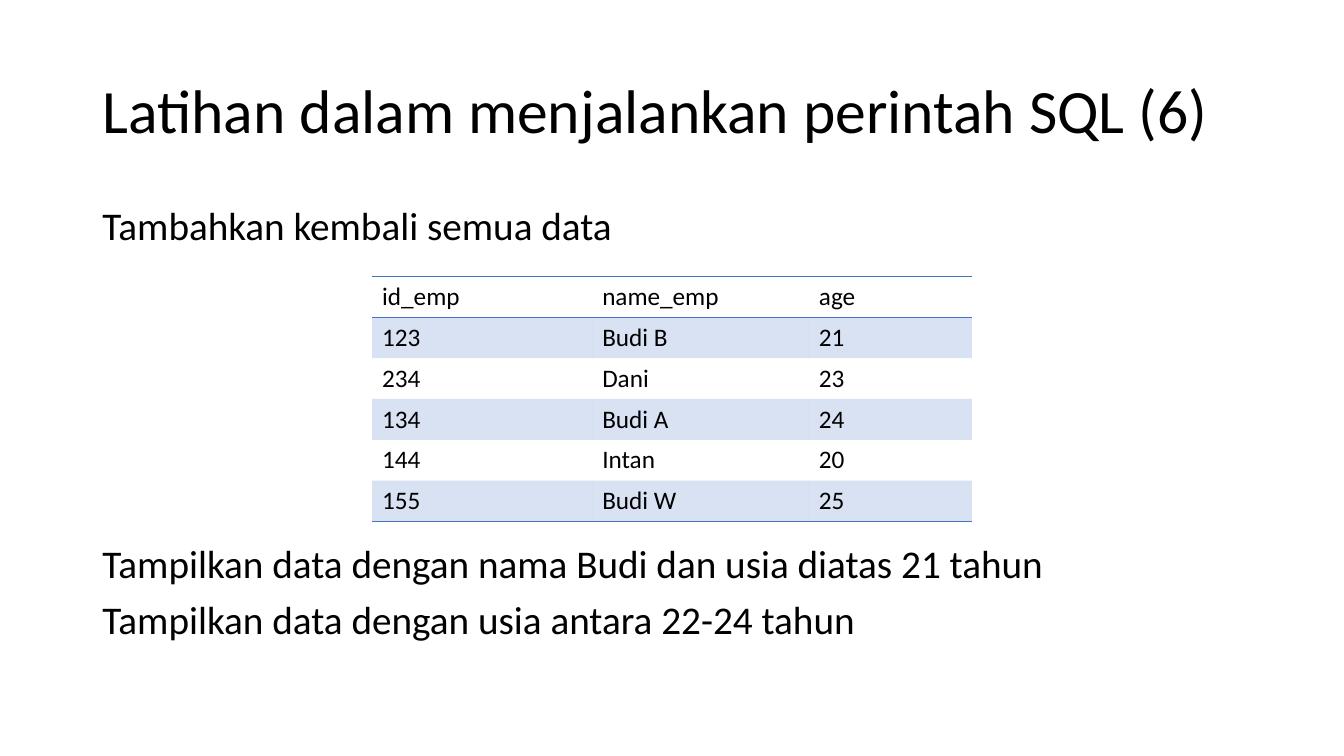
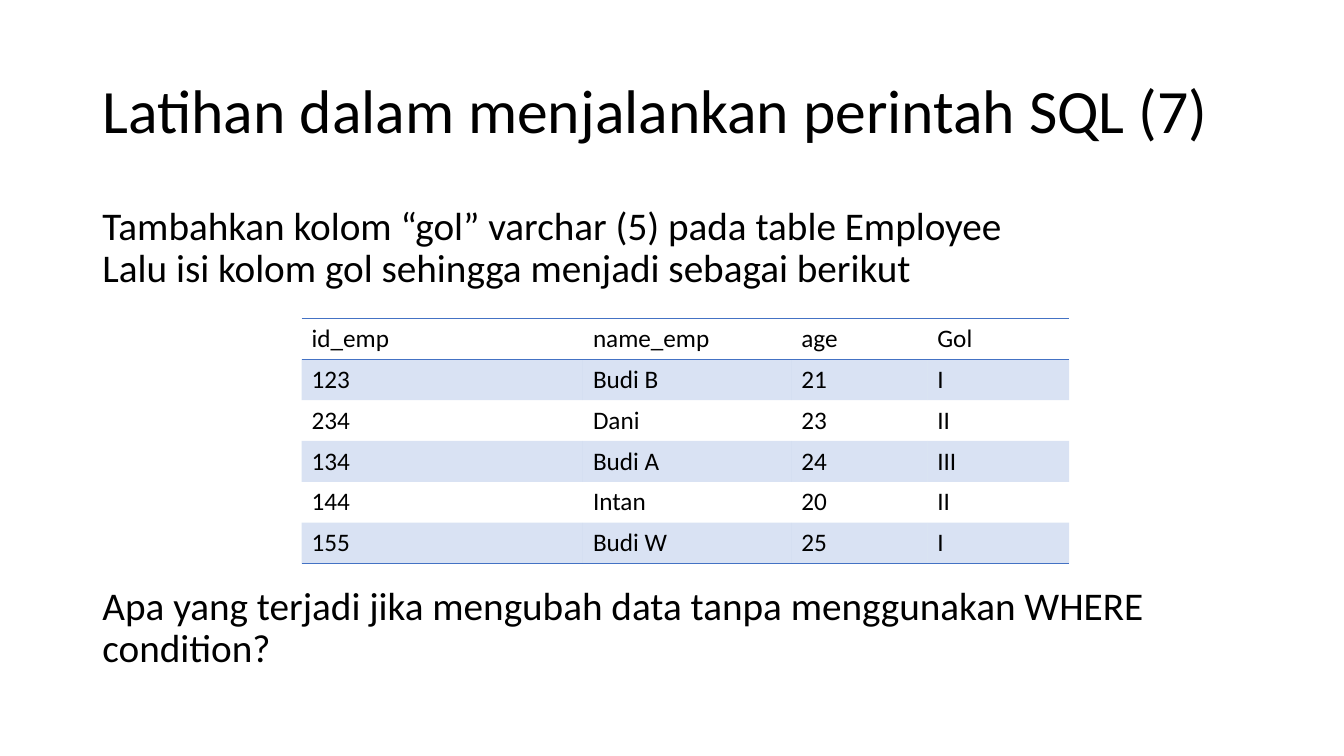
from lxml.etree import SubElement
from pptx import Presentation
from pptx.dml.color import RGBColor as Rgb
from pptx.enum.text import MSO_ANCHOR as Anchor, MSO_AUTO_SIZE as Fit, PP_ALIGN as Align
from pptx.oxml import parse_xml
from pptx.oxml.ns import nsdecls, qn
from pptx.util import Inches, Pt

INK = {"text": "000000", "accent": "4472C4"}
FONT = "Calibri"
COLS, ROWS = 160, 90  # slide grid, square units of 1/12 inch
PLAIN = "{2D5ABB26-0587-4C30-8999-92F81FD0307C}"  # table style without grid
GAP = 211  # points kept free for the table

STAFF = [
    ("id_emp", "name_emp", "age"),
    ("123", "Budi B", "21"),
    ("234", "Dani", "23"),
    ("134", "Budi A", "24"),
    ("144", "Intan", "20"),
    ("155", "Budi W", "25"),
]
GRADES = ("Gol", "I", "II", "III", "II", "I")


def unit(count):
    return Inches(count / 12)


def write(par, text, size=28, color="text", space=None, before=None):
    """Fill a paragraph; a vertical tab in the text breaks the line."""
    par.text = text
    par.alignment = Align.LEFT
    if space:
        par.line_spacing = space
    if before is not None:
        par.space_before = Pt(before)
    for run in par.runs:
        run.font.name = FONT
        run.font.size = Pt(size)
        run.font.color.rgb = Rgb.from_string(INK[color])


def edge(cell, side):
    """Draw a thin accent line on side T or B of a cell."""
    line = parse_xml(
        f'<a:ln{side} {nsdecls("a")} w="12700"><a:solidFill>'
        f'<a:srgbClr val="{INK["accent"]}"/></a:solidFill></a:ln{side}>')
    cell.fill  # the cell properties exist from here on
    cell._tc.get_or_add_tcPr().insert(0, line)


def tint(cell, share):
    """Fill a cell with the accent colour at the given opacity."""
    cell.fill.solid()
    cell.fill.fore_color.rgb = Rgb.from_string(INK["accent"])
    for color in cell._tc.iter(qn("a:srgbClr")):
        if color.getparent().getparent().tag == qn("a:tcPr"):
            SubElement(color, qn("a:alpha")).set("val", str(share * 1000))


class Deck:
    def __init__(self):
        self.prs = Presentation()
        self.prs.slide_width = unit(COLS)
        self.prs.slide_height = unit(ROWS)
        self.slide = None

    def frame(self, shape, top, high, anchor):
        """Place a placeholder in the main column and return its text frame."""
        shape.left, shape.top = unit(11), unit(top)
        shape.width, shape.height = unit(138), unit(high)
        frame = shape.text_frame
        frame.word_wrap = True
        frame.auto_size = Fit.NONE
        frame.vertical_anchor = anchor
        return frame

    def title(self, text):
        self.slide = self.prs.slides.add_slide(self.prs.slide_layouts[1])
        frame = self.frame(self.slide.shapes.title, 4.8, 17.4, Anchor.MIDDLE)
        write(frame.paragraphs[0], text, size=44, space=0.9, before=0)

    def body(self, lead, *tasks):
        """Write the lead, leave room for the table, then list the tasks."""
        frame = self.frame(self.slide.placeholders[1], 24, 57.1, Anchor.TOP)
        for num, text in enumerate((lead, *tasks)):
            par = frame.add_paragraph() if num else frame.paragraphs[0]
            write(par, text, space=0.9, before=GAP if num == 1 else 10)
            props = par._p.get_or_add_pPr()
            props.set("marL", "0")
            props.set("indent", "0")
            SubElement(props, qn("a:buNone"))

    def table(self, left, top, widths, rows, high=4.86):
        shape = self.slide.shapes.add_table(
            len(rows), len(widths), unit(left), unit(top),
            unit(sum(widths)), unit(high * len(rows)))
        next(shape.element.iter(qn("a:tableStyleId"))).text = PLAIN
        grid = shape.table
        grid.first_row = grid.horz_banding = False
        for col, wide in zip(grid.columns, widths):
            col.width = unit(wide)
        for r, row in enumerate(rows):
            grid.rows[r].height = unit(high)
            for c, text in enumerate(row):
                cell = grid.cell(r, c)
                write(cell.text_frame.paragraphs[0], text, size=18)
                if r % 2:
                    tint(cell, 20)
                else:
                    cell.fill.background()
                if r in (0, len(rows) - 1):
                    edge(cell, "B")
                if r == 0:
                    edge(cell, "T")


def main():
    deck = Deck()
    name = "Latihan dalam menjalankan perintah SQL ({})"

    deck.title(name.format(6))
    deck.body("Tambahkan kembali semua data",
              "Tampilkan data dengan nama Budi dan usia diatas 21 tahun",
              "Tampilkan data dengan usia antara 22-24 tahun")
    deck.table(44.3, 32.9, (26.2, 25.8, 19.4), STAFF)

    deck.title(name.format(7))
    deck.body("Tambahkan kolom “gol” varchar (5) pada table Employee\v"
              "Lalu isi kolom gol sehingga menjadi sebagai berikut",
              "Apa yang terjadi jika mengubah data tanpa menggunakan WHERE condition?")
    graded = [(*row, grade) for row, grade in zip(STAFF, GRADES)]
    deck.table(35.9, 37.9, (33.5, 24.8, 16.2, 16.9), graded)

    deck.prs.save("out.pptx")


if __name__ == "__main__":
    main()
